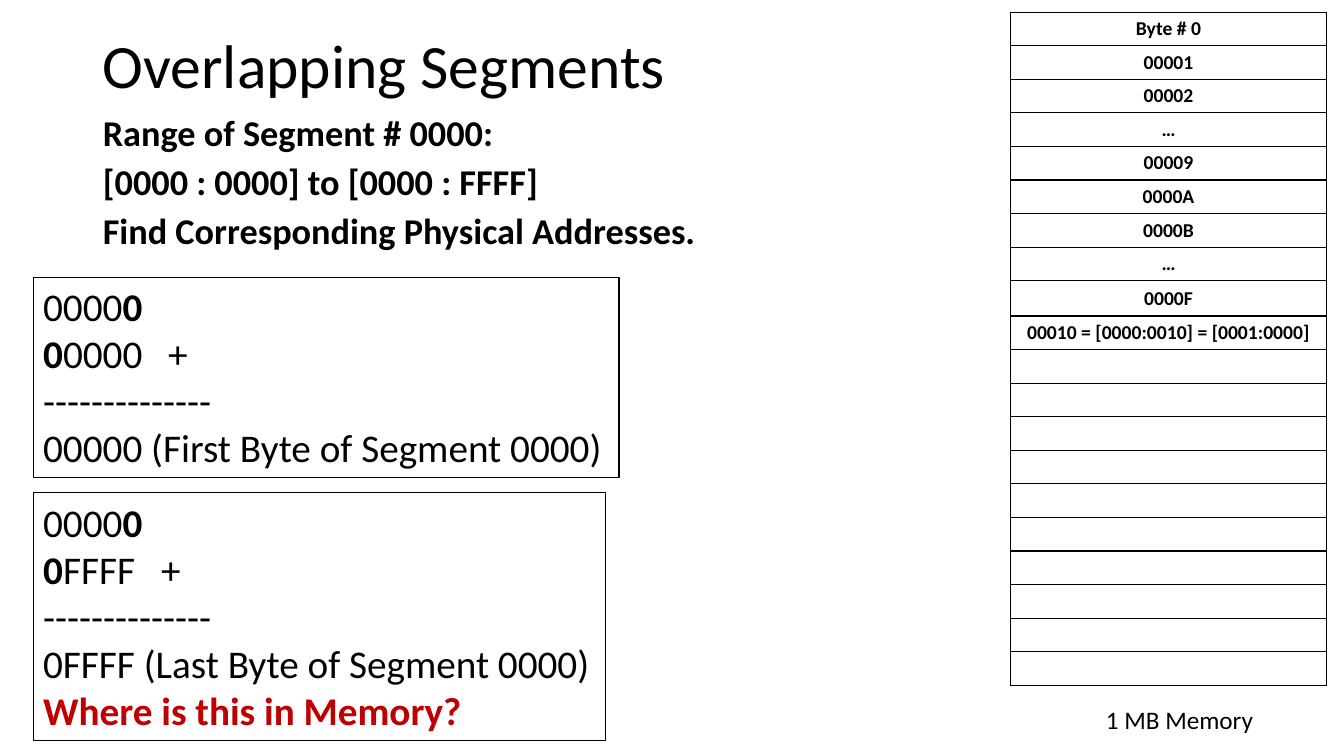
from dataclasses import dataclass

import pptx
import pptx.dml.color
import pptx.enum.shapes
import pptx.enum.text
import pptx.oxml
import pptx.oxml.ns
import pptx.util
from pptx.util import Inches

BLACK = pptx.dml.color.RGBColor(0x00, 0x00, 0x00)
WHITE = pptx.dml.color.RGBColor(0xFF, 0xFF, 0xFF)
RED = pptx.dml.color.RGBColor(0xC0, 0x00, 0x00)
FONT = "Calibri"
LEFT = pptx.enum.text.PP_ALIGN.LEFT
CENTER = pptx.enum.text.PP_ALIGN.CENTER
TOP = pptx.enum.text.MSO_ANCHOR.TOP
MIDDLE = pptx.enum.text.MSO_ANCHOR.MIDDLE

MEMORY_ROWS = 20
MEMORY_HEIGHT = 6.68
TALL_ROW = 8
TALL_ROW_HEIGHT = 0.35
MEMORY_LABELS = [
    "Byte # 0", "00001", "00002", "…", "00009", "0000A", "0000B", "…", "0000F",
    "00010 = [0000:0010] = [0001:0000]",
]


@dataclass
class AddressSum:
    """A boxed addition of a shifted segment and an offset."""

    top: float
    width: float
    height: float
    offset: str
    plus_tab: float
    result: str
    question: str = ""


ADDRESS_SUMS = [
    AddressSum(2.75, 5.81, 1.99, "0000", 1.24, "00000 (First Byte of Segment 0000)"),
    AddressSum(4.89, 5.68, 2.46, "FFFF", 1.17, "0FFFF (Last Byte of Segment 0000)",
               "Where is this in Memory?"),
]


def add_text(paragraph, text: str, *, size: float, bold: bool = False,
             color=BLACK, align=LEFT) -> None:
    """Append one formatted run to a paragraph."""
    paragraph.alignment = align
    run = paragraph.add_run()
    run.text = text
    run.font.name = FONT
    run.font.size = pptx.util.Pt(size)
    run.font.bold = bold
    run.font.color.rgb = color


def next_paragraph(frame, index: int):
    return frame.paragraphs[0] if index == 0 else frame.add_paragraph()


def place(shape, left: float, top: float, width: float, height: float) -> None:
    shape.left, shape.top = Inches(left), Inches(top)
    shape.width, shape.height = Inches(width), Inches(height)


def set_tab(paragraph, position: float) -> None:
    properties = paragraph._p.get_or_add_pPr()
    properties.append(pptx.oxml.parse_xml(
        f'<a:tabLst {pptx.oxml.ns.nsdecls("a")}>'
        f'<a:tab pos="{Inches(position)}" algn="l"/></a:tabLst>'))


def add_headings(slide) -> None:
    title = slide.shapes.title
    place(title, 0.92, 0.23, 11.5, 0.9)
    title.text_frame.auto_size = pptx.enum.text.MSO_AUTO_SIZE.NONE
    title.text_frame.vertical_anchor = MIDDLE
    paragraph = title.text_frame.paragraphs[0]
    paragraph.line_spacing = 0.9
    add_text(paragraph, "Overlapping Segments", size=44)

    body = slide.placeholders[1]
    place(body, 0.92, 1.13, 8.75, 1.47)
    body.text_frame.auto_size = pptx.enum.text.MSO_AUTO_SIZE.NONE
    body.text_frame.vertical_anchor = TOP
    lines = ["Range of Segment # 0000:", "[0000 : 0000] to [0000 : FFFF]",
             "Find Corresponding Physical Addresses."]
    for index, line in enumerate(lines):
        paragraph = next_paragraph(body.text_frame, index)
        paragraph.line_spacing = 0.8
        paragraph.space_before = pptx.util.Pt(10)
        add_text(paragraph, line, size=25.9, bold=True)
        properties = paragraph._p.get_or_add_pPr()
        properties.set("marL", "0")
        properties.set("indent", "0")
        properties.append(pptx.oxml.parse_xml(
            f'<a:buNone {pptx.oxml.ns.nsdecls("a")}/>'))


def add_borders(cell) -> None:
    """Draw thin black lines on all four sides; call before setting the fill."""
    properties = cell._tc.get_or_add_tcPr()
    for side in ("lnL", "lnR", "lnT", "lnB"):
        properties.append(pptx.oxml.parse_xml(
            f'<a:{side} {pptx.oxml.ns.nsdecls("a")} w="{pptx.util.Pt(1)}">'
            f'<a:solidFill><a:srgbClr val="{BLACK}"/></a:solidFill></a:{side}>'))


def add_memory(slide) -> None:
    table = slide.shapes.add_table(
        MEMORY_ROWS, 1, Inches(10.02), Inches(0.12),
        Inches(3.14), Inches(MEMORY_HEIGHT)).table
    table.first_row = False
    table.horz_banding = False
    row_height = (MEMORY_HEIGHT - TALL_ROW_HEIGHT) / (MEMORY_ROWS - 1)
    for index, row in enumerate(table.rows):
        row.height = Inches(TALL_ROW_HEIGHT if index == TALL_ROW else row_height)
        cell = row.cells[0]
        cell.margin_top = cell.margin_bottom = 0
        cell.vertical_anchor = MIDDLE
        add_borders(cell)
        cell.fill.solid()
        cell.fill.fore_color.rgb = WHITE
        if index < len(MEMORY_LABELS):
            add_text(cell.text_frame.paragraphs[0], MEMORY_LABELS[index],
                     size=14, bold=True, align=CENTER)

    caption = slide.shapes.add_textbox(
        Inches(10.87), Inches(6.94), Inches(1.68), Inches(0.4))
    caption.text_frame.word_wrap = False
    add_text(caption.text_frame.paragraphs[0], "1 MB Memory", size=18)


def add_address_sum(slide, item: AddressSum) -> None:
    box = slide.shapes.add_shape(
        pptx.enum.shapes.MSO_SHAPE.RECTANGLE, Inches(0.33), Inches(item.top),
        Inches(item.width), Inches(item.height))
    box.shadow.inherit = False
    box.fill.background()
    box.line.color.rgb = BLACK
    box.line.width = pptx.util.Pt(0.75)
    frame = box.text_frame
    frame.word_wrap = False
    frame.vertical_anchor = TOP

    # Each line is a list of (text, bold, color) runs
    lines = [
        [("0000", False, BLACK), ("0", True, BLACK)],
        [("0", True, BLACK), (f"{item.offset}\t+", False, BLACK)],
        [("--------------", False, BLACK)],
        [(item.result, False, BLACK)],
    ]
    if item.question:
        lines.append([(item.question, True, RED)])
    for index, runs in enumerate(lines):
        paragraph = next_paragraph(frame, index)
        for text, bold, color in runs:
            add_text(paragraph, text, size=28, bold=bold, color=color)
    set_tab(frame.paragraphs[1], item.plus_tab)


def main() -> None:
    presentation = pptx.Presentation()
    presentation.slide_width = Inches(13.33)
    presentation.slide_height = Inches(7.5)
    slide = presentation.slides.add_slide(presentation.slide_layouts[1])

    # Title and question
    add_headings(slide)
    # Memory map with caption
    add_memory(slide)
    # Address calculations
    for item in ADDRESS_SUMS:
        add_address_sum(slide, item)

    presentation.save("out.pptx")


if __name__ == "__main__":
    main()
